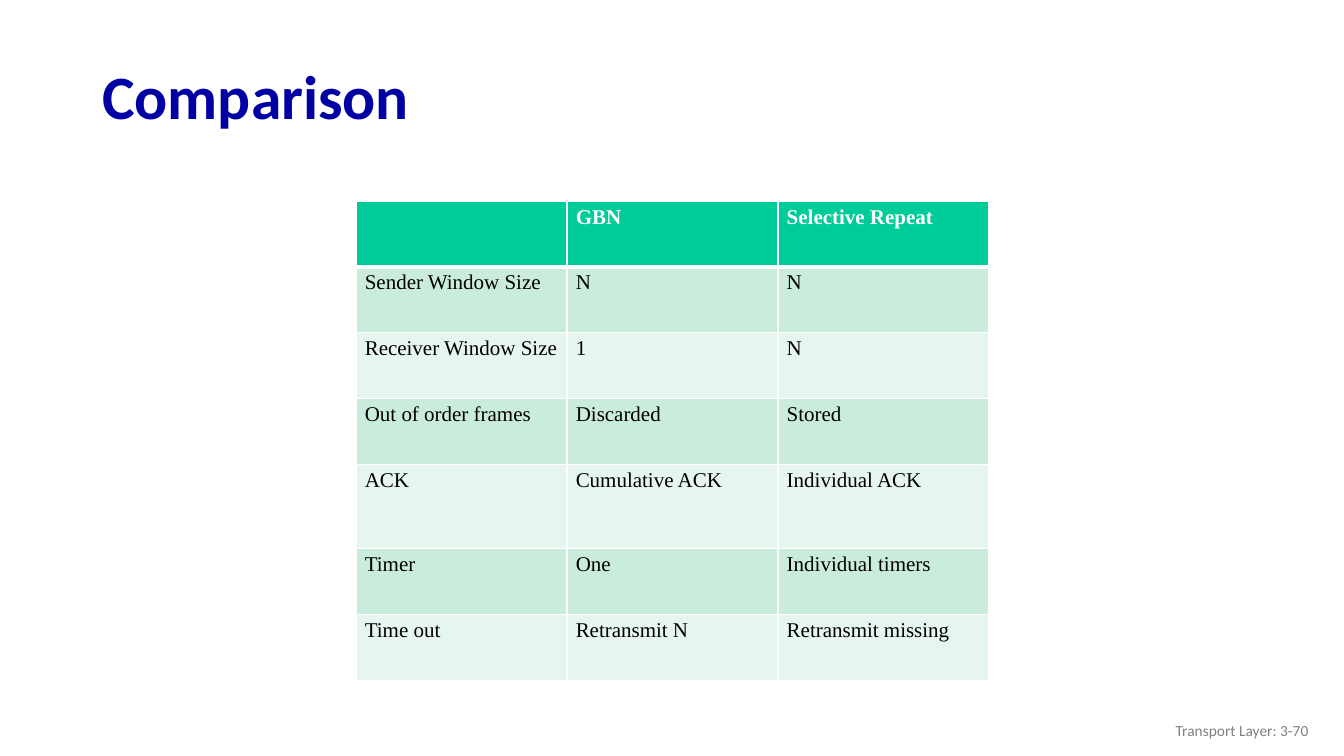
from lxml import etree
from pptx import Presentation
from pptx.dml.color import RGBColor
from pptx.enum.text import MSO_ANCHOR, PP_ALIGN
from pptx.oxml.ns import qn
from pptx.util import Pt

MIDDLE = MSO_ANCHOR.MIDDLE
LEFT, RIGHT = PP_ALIGN.LEFT, PP_ALIGN.RIGHT

NAVY = RGBColor(0x00, 0x00, 0xA3)
GRAY = RGBColor(0x80, 0x80, 0x80)
BLACK = RGBColor(0x00, 0x00, 0x00)
WHITE = RGBColor(0xFF, 0xFF, 0xFF)
GREEN = RGBColor(0x00, 0xCC, 0x99)
MINT = RGBColor(0xCA, 0xEC, 0xDD)
PALE_MINT = RGBColor(0xE6, 0xF6, 0xEF)

COMPARISON = [
    ("", "GBN", "Selective Repeat"),
    ("Sender Window Size", "N", "N"),
    ("Receiver Window Size", "1", "N"),
    ("Out of order frames", "Discarded", "Stored"),
    ("ACK", "Cumulative ACK", "Individual ACK"),
    ("Timer", "One", "Individual timers"),
    ("Time out", "Retransmit N", "Retransmit missing"),
]
ROW_HEIGHTS = [47.1] * 4 + [60] + [47.1] * 2
COLUMN_WIDTH = 150.7


def write(frame, text, font="Calibri", size=15, color=BLACK, bold=False,
          align=LEFT, spacing=1.0):
    paragraph = frame.paragraphs[0]
    paragraph.alignment = align
    paragraph.line_spacing = spacing
    if text:
        run = paragraph.add_run()
        run.text = text
        run.font.name = font
        run.font.size = Pt(size)
        run.font.bold = bold
        run.font.color.rgb = color


class ComparisonSlide:
    body_font = "Times New Roman"

    def __init__(self, slide):
        self.slide = slide

    def text(self, text, left, top, width, height, **style):
        box = self.slide.shapes.add_textbox(Pt(left), Pt(top), Pt(width), Pt(height))
        frame = box.text_frame
        frame.word_wrap = True
        frame.vertical_anchor = MIDDLE
        write(frame, text, **style)

    def borders(self, cell, **widths):
        properties = cell._tc.get_or_add_tcPr()
        for position, (side, width) in enumerate(widths.items()):
            line = etree.Element(qn(f"a:ln{side}"), w=str(Pt(width)))
            fill = etree.SubElement(line, qn("a:solidFill"))
            etree.SubElement(fill, qn("a:srgbClr"), val=str(WHITE))
            properties.insert(position, line)

    def table(self, rows, left, top, column_width, row_heights):
        column_count = len(rows[0])
        table = self.slide.shapes.add_table(
            len(rows), column_count, Pt(left), Pt(top),
            Pt(column_width * column_count), Pt(sum(row_heights))).table
        for column in table.columns:
            column.width = Pt(column_width)
        for r, (labels, height) in enumerate(zip(rows, row_heights)):
            table.rows[r].height = Pt(height)
            header = r == 0
            fill = GREEN if header else MINT if r % 2 else PALE_MINT
            for c, label in enumerate(labels):
                cell = table.cell(r, c)
                cell.margin_left = cell.margin_right = Pt(6.3)
                cell.margin_top = cell.margin_bottom = Pt(3.1)
                cell.fill.solid()
                cell.fill.fore_color.rgb = fill
                self.borders(cell, L=1, R=1, T=3 if r == 1 else 1, B=3 if header else 1)
                write(cell.text_frame, label, font=self.body_font,
                      color=WHITE if header else BLACK, bold=header)


def main():
    presentation = Presentation()
    presentation.slide_width, presentation.slide_height = Pt(960), Pt(540)
    page = ComparisonSlide(presentation.slides.add_slide(presentation.slide_layouts[6]))

    # Title
    page.text("Comparison", 66, 35.5, 828, 70.5,
              size=44, color=NAVY, bold=True, spacing=0.9)

    # Protocol comparison
    page.table(COMPARISON, 254.3, 143.6, COLUMN_WIDTH, ROW_HEIGHTS)

    # Footer
    page.text("Transport Layer: 3-70", 725.8, 507.6, 216, 28.8,
              size=11, color=GRAY, align=RIGHT)

    presentation.save("out.pptx")


if __name__ == "__main__":
    main()
